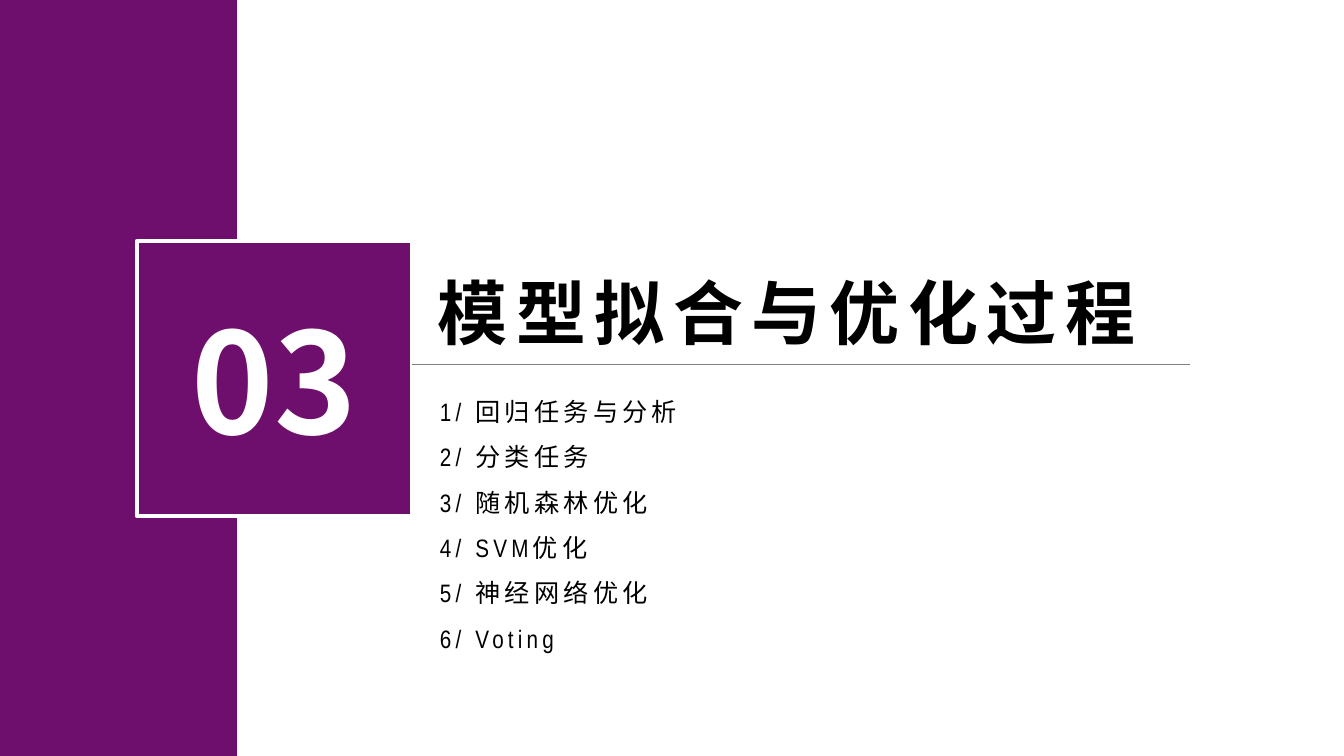
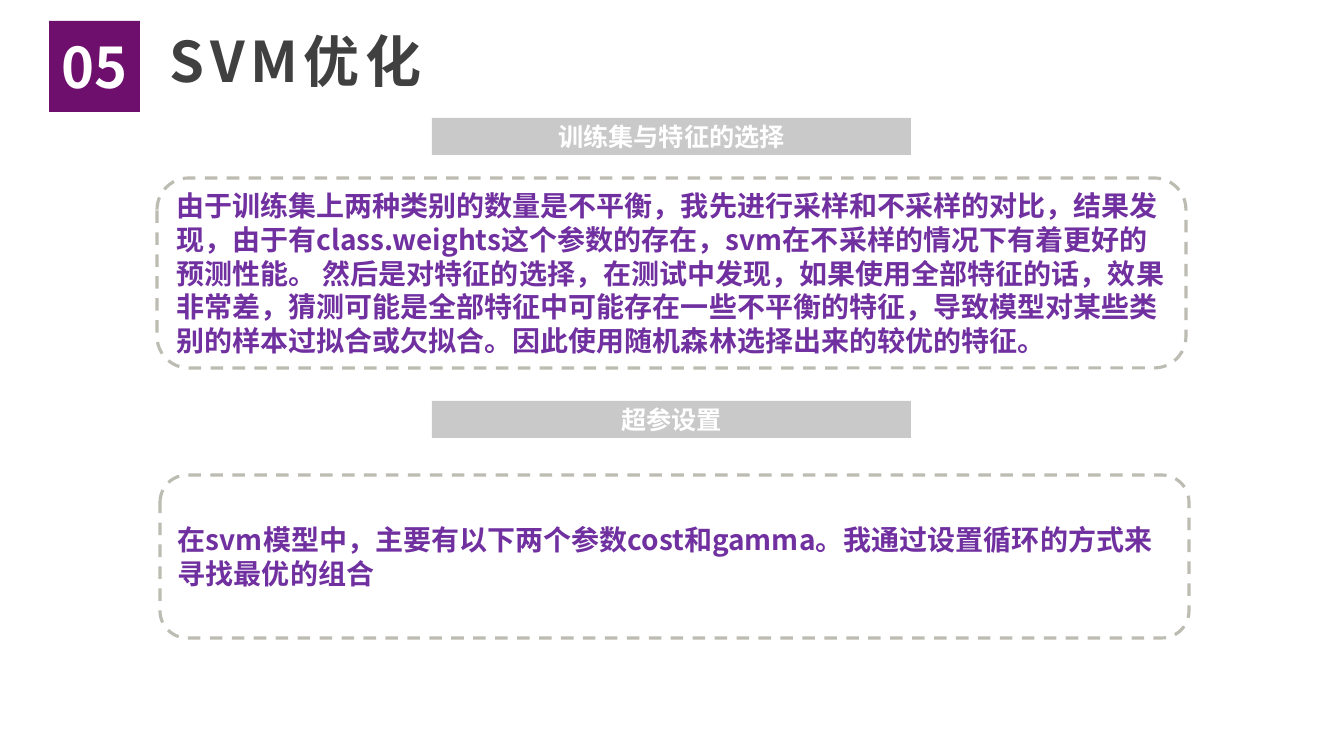
from lxml import etree
from pptx import Presentation
from pptx.dml.color import RGBColor
from pptx.enum.dml import MSO_LINE
from pptx.enum.shapes import MSO_CONNECTOR, MSO_SHAPE as SHAPE
from pptx.enum.text import MSO_ANCHOR as ANCHOR, PP_ALIGN as ALIGN
from pptx.oxml.ns import qn
from pptx.util import Emu, Pt

PX = 914400 / 100.8
WIDTH, HEIGHT = 1344, 756
PURPLE, WHITE, BLACK = "6E0F6D", "FFFFFF", "000000"
TITLE_GRAY, LABEL_GRAY = "404040", "C9C9C9"
FRAME_GRAY, BODY_PURPLE, RULE_GRAY = "BCBCB2", "7030A0", "808080"
CJK, NARROW = "Noto Sans CJK SC", "Arial Narrow"


def px(*lengths):
    return [Emu(round(length * PX)) for length in lengths]


def color(hex_value):
    return RGBColor.from_string(hex_value)


def write(shape, lines, size, ink, font=CJK, bold=True, tracking=0,
          paragraph=None, inset=None, **frame_format):
    """Fill a shape or text box with evenly styled paragraphs."""
    frame = shape.text_frame
    frame.word_wrap = True
    if inset is not None:
        for side in ("left", "top", "right", "bottom"):
            setattr(frame, f"margin_{side}", px(inset)[0])
    for name, value in frame_format.items():
        setattr(frame, name, value)
    paragraph_format = {"alignment": ALIGN.LEFT, **(paragraph or {})}
    for index, line in enumerate(lines):
        para = frame.add_paragraph() if index else frame.paragraphs[0]
        for name, value in paragraph_format.items():
            setattr(para, name, value)
        run = para.add_run()
        run.text = line
        for name, value in {"size": Pt(size), "bold": bold, "name": font}.items():
            setattr(run.font, name, value)
        run.font.color.rgb = color(ink)
        # East Asian face and letter spacing
        properties = run._r.get_or_add_rPr()
        etree.SubElement(properties, qn("a:ea")).set("typeface", CJK)
        if tracking:
            properties.set("spc", str(tracking * 100))


def add_box(slide, box, fill=None, line=None, weight=1, dash=None,
            kind=SHAPE.RECTANGLE):
    shape = slide.shapes.add_shape(kind, *px(*box))
    shape.shadow.inherit = False
    if fill:
        shape.fill.solid()
        shape.fill.fore_color.rgb = color(fill)
    else:
        shape.fill.background()
    if line:
        shape.line.color.rgb = color(line)
        shape.line.width = Pt(weight)
        if dash:
            shape.line.dash_style = dash
    else:
        shape.line.fill.background()
    return shape


def add_text(slide, box, lines, *style, **options):
    write(slide.shapes.add_textbox(*px(*box)), lines, *style, **options)


def add_number(slide, box, number, size, **outline):
    """Purple square with the section number."""
    square = add_box(slide, box, PURPLE, **outline)
    write(square, [number], size, WHITE, paragraph={"alignment": ALIGN.CENTER},
          inset=0, vertical_anchor=ANCHOR.MIDDLE)


def add_rule(slide, left, right, y):
    rule = slide.shapes.add_connector(MSO_CONNECTOR.STRAIGHT, *px(left, y, right, y))
    rule.line.color.rgb = color(RULE_GRAY)
    rule.line.width = Pt(0.75)
    etree.SubElement(rule._element.spPr, qn("a:effectLst"))


def add_topic(slide, box, label_top, label, text):
    """Gray label above a dashed frame with body text."""
    label_bar = add_box(slide, (432, label_top, 479, 37), LABEL_GRAY)
    write(label_bar, [label], 18, WHITE, paragraph={"alignment": ALIGN.CENTER},
          vertical_anchor=ANCHOR.MIDDLE)
    frame = add_box(slide, box, line=FRAME_GRAY, weight=2.25,
                    dash=MSO_LINE.DASH, kind=SHAPE.ROUNDED_RECTANGLE)
    write(frame, [text], 20, BODY_PURPLE, vertical_anchor=ANCHOR.MIDDLE)


def section_slide(slide, number, title, items):
    # Side band and number
    add_box(slide, (0, 0, 237, HEIGHT), PURPLE)
    add_number(slide, (137, 241, 275, 275), number, 100, line=WHITE, weight=3.25)
    # Title over its rule
    add_text(slide, (428, 265, 795, 95), [title], 50, BLACK, tracking=6)
    add_rule(slide, 412, 1190, 365)
    # Contents
    numbered = [f"{index}/ {item}" for index, item in enumerate(items, 1)]
    add_text(slide, (440, 381, 564, 360), numbered, 18, BLACK, NARROW, False,
             tracking=3, inset=0, paragraph={"line_spacing": 1.5})


def content_slide(slide, number, title, topics):
    # Header
    add_number(slide, (49, 21, 91, 91), number, 40)
    add_text(slide, (160, 22, 543, 78), [title], 40, TITLE_GRAY, tracking=4)
    # Topics
    for topic in topics:
        add_topic(slide, *topic)


def main():
    deck = Presentation()
    deck.slide_width, deck.slide_height = px(WIDTH, HEIGHT)
    blank = deck.slide_layouts[6]
    section_slide(
        deck.slides.add_slide(blank), "03", "模型拟合与优化过程",
        ["回归任务与分析", "分类任务", "随机森林优化", "SVM优化", "神经网络优化", "Voting"])
    content_slide(deck.slides.add_slide(blank), "05", "SVM优化", [
        ((157, 178, 1029, 190), 118, "训练集与特征的选择",
         "由于训练集上两种类别的数量是不平衡，我先进行采样和不采样的对比，结果发现，"
         "由于有class.weights这个参数的存在，svm在不采样的情况下有着更好的预测性能。 "
         "然后是对特征的选择，在测试中发现，如果使用全部特征的话，效果非常差，"
         "猜测可能是全部特征中可能存在一些不平衡的特征，导致模型对某些类别的样本过拟合或欠拟合。"
         "因此使用随机森林选择出来的较优的特征。"),
        ((160, 475, 1029, 163), 401, "超参设置",
         "在svm模型中，主要有以下两个参数cost和gamma。"
         "我通过设置循环的方式来寻找最优的组合"),
    ])
    deck.save("out.pptx")


if __name__ == "__main__":
    main()
